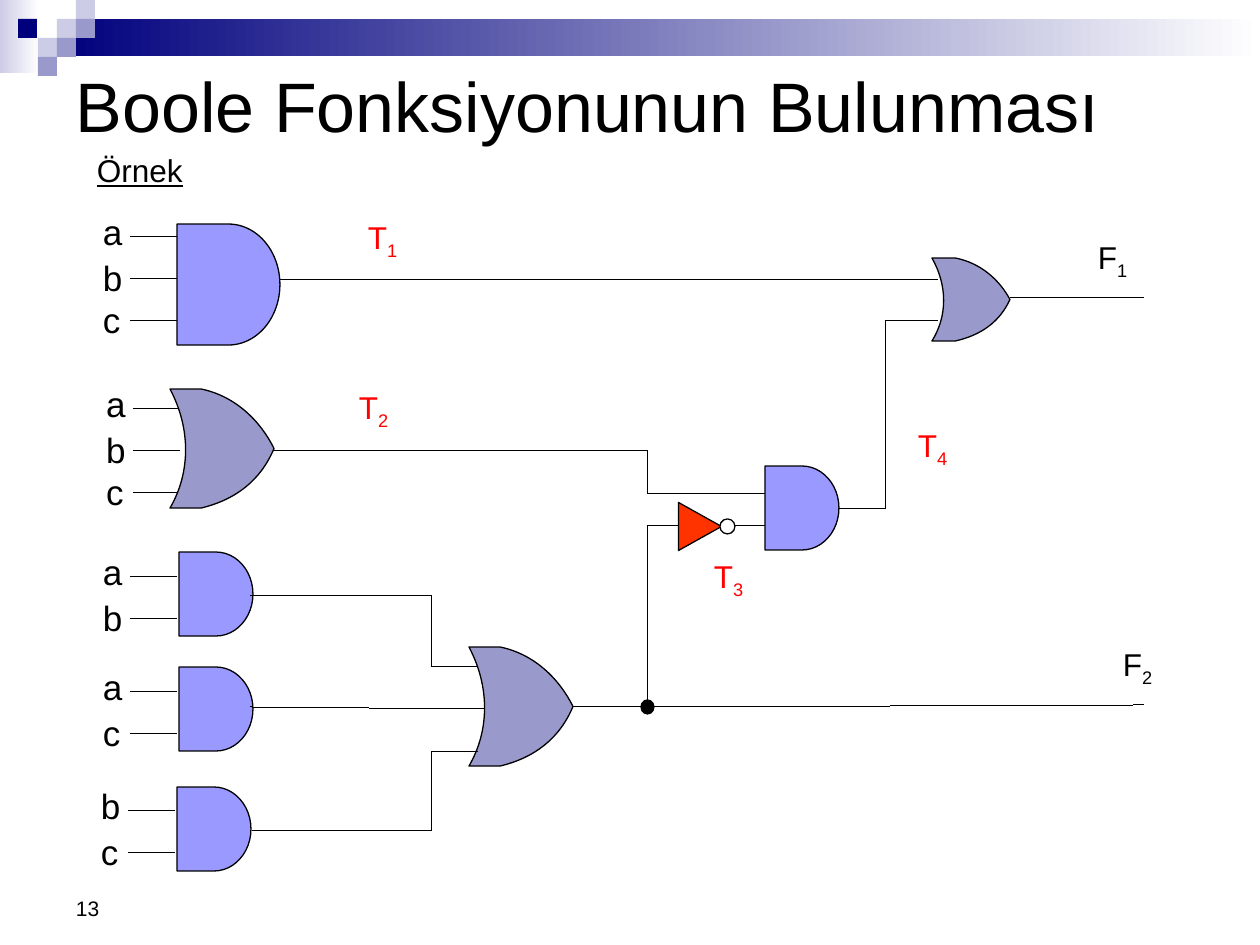
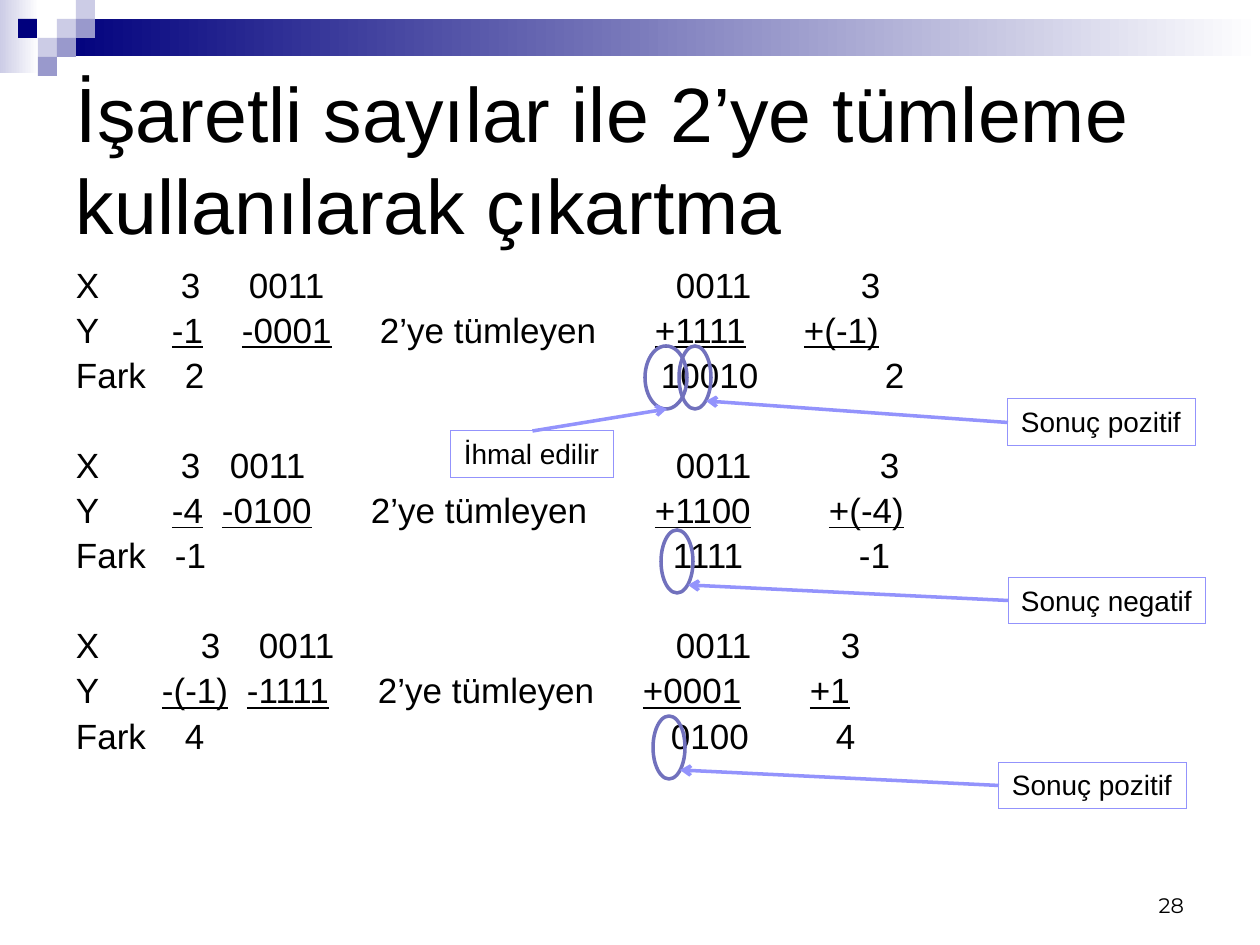
from itertools import pairwise

from lxml import etree
from pptx import Presentation
from pptx import util as u
from pptx.dml.color import RGBColor
from pptx.enum import shapes, text
from pptx.oxml.ns import qn

SCALE = 914400 / 126
COLORS = {
    "ink": "000000", "paper": "FFFFFF", "navy": "00007D", "pale": "CCCCE6",
    "mauve": "9999CC", "gate": "9999FF", "inverter": "FF3300", "term": "FF0000",
    "ring": "7171BD", "callout": "9393FC",
}
SHAPE = shapes.MSO_SHAPE
ANCHOR = text.MSO_ANCHOR
ALIGN = text.PP_ALIGN

OR_POINTS = [
    (1, 0.5), (0.87, 0.77), (0.63, 0.93), (0.3, 1), (0, 1), (0.2, 0.7),
    (0.2, 0.33), (0, 0), (0.3, 0), (0.63, 0.06), (0.87, 0.27), (1, 0.5),
]
INPUT_GATES = [
    ("and", (77, 14, 103, 121), 3, 27, "abc"),
    ("or", (70, 179, 104, 119), 6, 199, "abc"),
    ("and", (79, 342, 74, 84), 3, 367, "ab"),
    ("and", (79, 457, 74, 84), 3, 482, "ac"),
    ("and", (77, 577, 74, 84), 1, 601, "bc"),
]
INNER_GATES = [
    ("or", (369, 437, 104, 119)),
    ("or", (832, 48, 78, 83)),
    ("and", (665, 256, 74, 84)),
]
WIRES = [
    [(180, 70), (838, 70)],
    [(174, 241), (548, 241), (548, 284), (665, 284)],
    [(151, 386), (332, 386), (332, 457), (378, 457)],
    [(151, 497), (384, 499)],
    [(153, 621), (332, 621), (332, 542), (378, 542)],
    [(473, 497), (548, 497), (548, 316), (579, 316)],
    [(634, 316), (665, 316)],
    [(739, 299), (786, 299), (786, 111), (838, 111)],
    [(911, 88), (1044, 88)],
    [(548, 497), (1044, 495)],
]
SIGNALS = [
    ("T", "1", 255, 2), ("T", "2", 246, 172), ("T", "3", 601, 341),
    ("T", "4", 805, 210), ("F", "1", 985, 22), ("F", "2", 1010, 429),
]
SUMS = [
    [[("X", 0), ("3", 105), ("0011", 173), ("0011", 600), ("3", 785)],
     [("Y", 0), ("-1", 96), ("-0001", 166), ("2’ye tümleyen", 304),
      ("+1111", 579), ("+(-1)", 728)],
     [("Fark", 0), ("2", 109), ("10010", 585), ("2", 809)]],
    [[("X", 0), ("3", 105), ("0011", 154), ("0011", 600), ("3", 804)],
     [("Y", 0), ("-4", 96), ("-0100", 146), ("2’ye tümleyen", 295),
      ("+1100", 579), ("+(-4)", 753)],
     [("Fark", 0), ("-1", 99), ("1111", 597), ("-1", 783)]],
    [[("X", 0), ("3", 125), ("0011", 183), ("0011", 600), ("3", 765)],
     [("Y", 0), ("-(-1)", 86), ("-1111", 171), ("2’ye tümleyen", 302),
      ("+0001", 567), ("+1", 734)],
     [("Fark", 0), ("4", 109), ("0100", 595), ("4", 760)]],
]
CALLOUTS = [
    ("İhmal edilir", (388, 169, 163, 47), 0, (582, 84, 42, 63), (22, 63)),
    ("Sonuç pozitif", (945, 137, 188, 47), 1, (616, 84, 32, 63), (27, 55)),
    ("Sonuç negatif", (945, 315, 198, 47), 1, (598, 268, 32, 63), (27, 55)),
    ("Sonuç pozitif", (936, 500, 188, 47), 1, (590, 454, 32, 63), (27, 54)),
]


def px(n):
    """Turn px into EMU."""
    return u.Emu(round(n * SCALE))


def rgb(name):
    """Look up a named colour."""
    return RGBColor.from_string(COLORS[name])


def shift(box, origin):
    """Move a box or point by the origin of its region."""
    return (box[0] + origin[0], box[1] + origin[1], *box[2:])


def add_text(p, content, size=18, color="ink", font="Arial", underline=False, sub=False):
    """Append one formatted run to a paragraph."""
    r = p.add_run()
    r.text = content
    f = r.font
    f.size, f.name, f.underline = u.Pt(size), font, underline
    f.color.rgb = rgb(color)
    if sub:
        r._r.get_or_add_rPr().set("baseline", "-25000")
    return r


def set_frame(tf, anchor=ANCHOR.TOP, wrap=True, inset=(13, 6)):
    """Set wrapping, anchor and insets of a text frame."""
    tf.word_wrap, tf.vertical_anchor = wrap, anchor
    tf.auto_size = text.MSO_AUTO_SIZE.NONE
    tf.margin_left = tf.margin_right = px(inset[0])
    tf.margin_top = tf.margin_bottom = px(inset[1])


def text_box(slide, box, content, anchor=ANCHOR.TOP, inset=(13, 6), align=ALIGN.LEFT, **fmt):
    """Add a one-line text box and return its paragraph."""
    tf = slide.shapes.add_textbox(*map(px, box)).text_frame
    set_frame(tf, anchor, False, inset)
    p = tf.paragraphs[0]
    p.alignment = align
    add_text(p, content, **fmt)
    return p


def set_line(sp, color, width):
    """Colour an outline; without a width it is a hairline free of the theme style."""
    sp.line.color.rgb = rgb(color)
    if width is None:
        sp._element.remove(sp._element.find(qn("p:style")))
    else:
        sp.line.width = u.Pt(width)


def paint(sp, fill=None, line=None, width=0.75):
    """Give a shape its fill and outline, without a shadow."""
    sp.shadow.inherit = False
    if fill:
        sp.fill.solid()
        sp.fill.fore_color.rgb = rgb(fill)
    else:
        sp.fill.background()
    if line:
        set_line(sp, line, width)
    else:
        sp.line.fill.background()
    return sp


def add_shape(slide, kind, box, **look):
    """Add a painted preset shape."""
    return paint(slide.shapes.add_shape(kind, *map(px, box)), **look)


def add_line(slide, start, end, color="ink", width=None, arrow=False):
    """Add a straight connector, with an open arrowhead if asked."""
    cx = slide.shapes.add_connector(shapes.MSO_CONNECTOR.STRAIGHT, *map(px, (*start, *end)))
    set_line(cx, color, width)
    if arrow:
        etree.SubElement(cx.line._get_or_add_ln(), qn("a:tailEnd"), type="arrow")
    etree.SubElement(cx._element.spPr, qn("a:effectLst"))
    return cx


def header_band(slide):
    """Draw the gradient bands and the mosaic of squares."""
    for box, start in (((0, 0, 39, 73), "pale"), ((57, 19, 1203, 37), "navy")):
        sp = add_shape(slide, SHAPE.RECTANGLE, box)
        sp.fill.gradient()
        sp.fill.gradient_angle = 0
        for stop, name, place_at in zip(sp.fill.gradient_stops, (start, "paper"), (0, 1)):
            stop.color.rgb = rgb(name)
            stop.position = place_at
    for x, y, name in ((57, 19, "pale"), (76, 0, "pale"), (76, 19, "mauve"),
                       (38, 38, "pale"), (18, 19, "navy"), (57, 38, "mauve"),
                       (38, 57, "mauve")):
        add_shape(slide, SHAPE.RECTANGLE, (x, y, 19, 19), fill=name)


def base_slide(prs, title, height, size):
    """Start a slide with the shared band and title style."""
    slide = prs.slides.add_slide(prs.slide_layouts[5])
    header_band(slide)
    sp = slide.shapes.title
    sp.left, sp.top, sp.width, sp.height = map(px, (63, 63, 1134, height))
    set_frame(sp.text_frame, ANCHOR.MIDDLE)
    p = sp.text_frame.paragraphs[0]
    p.alignment = ALIGN.LEFT
    add_text(p, title, size=size)
    return slide


def add_gate(slide, kind, box):
    """Draw an AND or OR gate in its box."""
    if kind == "and":
        add_shape(slide, SHAPE.FLOWCHART_DELAY, box, fill="gate", line="ink")
        return
    x, y, w, h = box
    points = [(px(x + a * w), px(y + b * h)) for a, b in OR_POINTS]
    outline = slide.shapes.build_freeform(*points[0])
    outline.add_line_segments(points[1:], close=True)
    sp = paint(outline.convert_to_shape(), fill="mauve", line="ink", width=0)
    segments = list(sp._element.iter(qn("a:lnTo")))
    for i in (0, 4, 8):
        curve = etree.Element(qn("a:cubicBezTo"))
        segments[i].addprevious(curve)
        for segment in segments[i:i + 3]:
            curve.append(segment[0])
            segment.getparent().remove(segment)


def circuit(slide, origin):
    """Draw the logic circuit from its top left corner."""
    for kind, box, label_x, first_y, names in INPUT_GATES:
        for i, name in enumerate(names):
            x, y = shift((label_x, first_y + 42 * i), origin)
            add_line(slide, (x + 28, y), (x + 74, y))
            text_box(slide, (x, y - (23 if i else 27), 20, 42), name, inset=(0, 0), size=20)
        add_gate(slide, kind, shift(box, origin))
    for kind, box in INNER_GATES:
        add_gate(slide, kind, shift(box, origin))
    for wire in WIRES:
        for start, end in pairwise(wire):
            add_line(slide, shift(start, origin), shift(end, origin))
    for kind, box, fill, turn in (
            (SHAPE.FLOWCHART_EXTRACT, (576, 295, 48, 43), "inverter", 90),
            (SHAPE.OVAL, (620, 309, 15, 15), "paper", 0),
            (SHAPE.OVAL, (541, 490, 13, 14), "ink", 0)):
        add_shape(slide, kind, shift(box, origin), fill=fill, line="ink").rotation = turn
    for letter, index, x, y in SIGNALS:
        color = "term" if letter == "T" else "ink"
        p = text_box(slide, shift((x, y, 66, 63), origin), letter, color=color)
        add_text(p, index, color=color, sub=True)


def sum_row(p, cells, gap):
    """Write one row of a subtraction on its own tab stops."""
    p.line_spacing = 0.9
    p.space_before = u.Pt(gap)
    tabs = etree.SubElement(p._p.get_or_add_pPr(), qn("a:tabLst"))
    for i, (content, x) in enumerate(cells):
        if i:
            etree.SubElement(tabs, qn("a:tab"), pos=str(int(px(x))), algn="l")
            add_text(p, "\t", size=20)
        add_text(p, content, size=20, underline=content[0] in "+-" and cells[0][0] == "Y")


def subtractions(slide, box):
    """Write the three subtractions in one text box."""
    tf = slide.shapes.add_textbox(*map(px, box)).text_frame
    set_frame(tf)
    for i, rows in enumerate(SUMS):
        for j, cells in enumerate(rows):
            first = i == j == 0
            p = tf.paragraphs[0] if first else tf.add_paragraph()
            sum_row(p, cells, 0 if first else 4.2 if j else 29.8)


def callouts(slide, origin):
    """Ring the leading digits and point labels at them."""
    for content, box, side, ring, tip in CALLOUTS:
        ring = shift(ring, origin)
        add_shape(slide, SHAPE.OVAL, ring, line="ring", width=2)
        sp = add_shape(slide, SHAPE.RECTANGLE, shift(box, origin), line="callout", width=None)
        set_frame(sp.text_frame, wrap=False)
        p = sp.text_frame.paragraphs[0]
        p.alignment = ALIGN.LEFT
        add_text(p, content, size=16)
        end = shift(tip, ring)
        add_line(slide, end, end, "callout", 2, arrow=True).begin_connect(sp, side)


def circuit_slide(prs):
    """Build the slide with the logic circuit."""
    slide = base_slide(prs, "Boole Fonksiyonunun Bulunması", 82, 40)
    circuit(slide, (100, 210))
    text_box(slide, (84, 145, 112, 50), "Örnek", underline=True)
    text_box(slide, (63, 861, 294, 66), "13", anchor=ANCHOR.BOTTOM, size=12)


def subtraction_slide(prs):
    """Build the slide with the signed subtractions."""
    title = "İşaretli sayılar ile 2’ye tümleme kullanılarak çıkartma"
    slide = base_slide(prs, title, 189, 44)
    box = (63, 262, 1134, 609)
    subtractions(slide, box)
    callouts(slide, box[:2])
    text_box(slide, (903, 861, 294, 63), "28", anchor=ANCHOR.BOTTOM,
             align=ALIGN.RIGHT, size=12, font="Montserrat")


def main():
    """Build and save the presentation."""
    prs = Presentation()
    prs.slide_width, prs.slide_height = px(1260), px(945)
    circuit_slide(prs)
    subtraction_slide(prs)
    prs.save("out.pptx")


if __name__ == "__main__":
    main()
